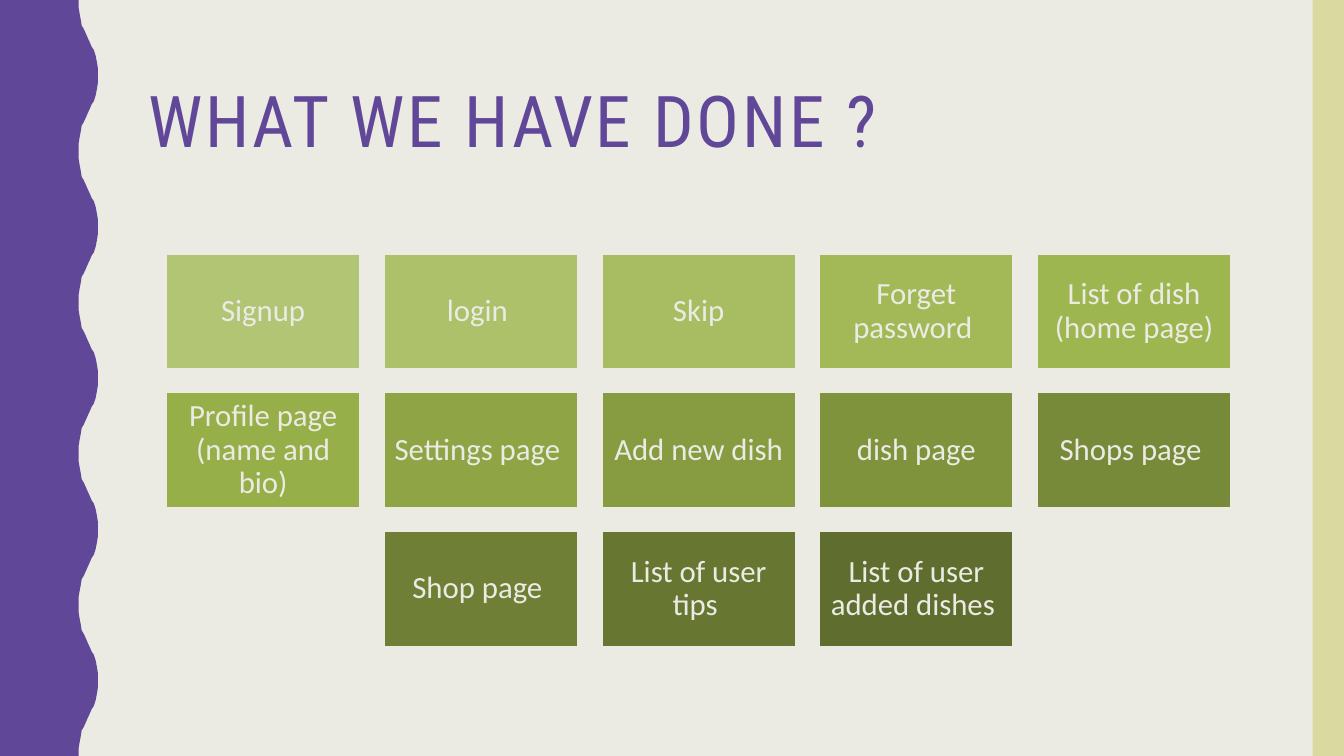
from pptx import Presentation
from pptx.dml.color import RGBColor
from pptx.enum.shapes import MSO_SHAPE as Shape
from pptx.enum.text import MSO_ANCHOR as Anchor, PP_ALIGN as Align
from pptx.util import Inches, Pt

COLOURS = {
    "paper": "EBEBE4",
    "purple": "604798",
    "sand": "DAD9A0",
    "greens": "B2C574 ADC16B A8BD62 A3B958 9EB64F 97AF49 8FA545 "
              "879C41 7F933D 778A3A 6F8036 677732 5F6E2E",
}
FEATURE_ROWS = [
    ["Signup", "login ", "Skip", "Forget password ", "List of dish (home page)"],
    ["Profile page (name and bio)", "Settings page ", "Add new dish",
     " dish page ", "Shops page "],
    ["Shop page ", "List of user tips ", "List of user added dishes "],
]
# Rising half of one wave: (share of the wave's length, share of its depth)
RISE = [(0, 0), (.05, 0), (.09, .05), (.13, .11), (.17, .16), (.19, .26),
        (.22, .37), (.25, .47), (.28, .58), (.31, .68), (.33, .79),
        (.37, .89), (.41, .95), (.45, 1), (.5, 1)]
FALL = [(1 - along, depth) for along, depth in reversed(RISE[:-1])]


class SlideMaker:
    """Draws on one page; positions and sizes are percentages of the slide."""

    columns = 5
    grid_left, grid_top = 12.23, 33.33
    column_step, row_step = 16.2, 18.35
    tile_size = (14.7, 15.73)

    def __init__(self, deck):
        self.deck = deck
        self.page = deck.slides.add_slide(deck.slide_layouts[6])
        self.paint(self.page.background, "paper")

    def across(self, percent):
        return round(self.deck.slide_width * percent / 100)

    def down(self, percent):
        return round(self.deck.slide_height * percent / 100)

    def frame(self, left, top, width, height):
        return (self.across(left), self.down(top),
                self.across(width), self.down(height))

    def paint(self, item, colour):
        item.fill.solid()
        item.fill.fore_color.rgb = RGBColor.from_string(COLOURS.get(colour, colour))

    def set_text(self, box, text, size, font, colour, align, spacing=0):
        frame = box.text_frame
        frame.text = text
        frame.word_wrap = True
        frame.vertical_anchor = Anchor.MIDDLE
        para = frame.paragraphs[0]
        para.alignment = align
        para.line_spacing = 0.9
        span = para.runs[0]
        span.font.size = Pt(size)
        span.font.name = font
        span.font.color.rgb = RGBColor.from_string(COLOURS[colour])
        if spacing:
            span._r.get_or_add_rPr().set("spc", str(spacing * 100))

    def wave(self, base, depth, colour, count):
        points = [(self.across(base + depth * share),
                   self.down((index + along) * 100 / count))
                  for index in range(count) for along, share in RISE + FALL]
        builder = self.page.shapes.build_freeform(0, 0)
        builder.add_line_segments(points + [(0, self.down(100))], close=True)
        edge = builder.convert_to_shape()
        edge.shadow.inherit = False
        self.paint(edge, colour)
        edge.line.fill.background()

    def block(self, left, top, width, height, colour):
        box = self.page.shapes.add_shape(
            Shape.RECTANGLE, *self.frame(left, top, width, height))
        box.shadow.inherit = False
        self.paint(box, colour)
        box.line.fill.background()
        return box

    def title(self, text, left, top, width, height):
        box = self.page.shapes.add_textbox(*self.frame(left, top, width, height))
        self.set_text(box, text, 51, "Roboto Condensed", "purple", Align.LEFT, spacing=2)

    def tile(self, column, row, text, colour):
        box = self.block(self.grid_left + column * self.column_step,
                         self.grid_top + row * self.row_step,
                         *self.tile_size, colour)
        box.line.color.rgb = RGBColor.from_string(COLOURS["paper"])
        box.line.width = Pt(4)
        frame = box.text_frame
        frame.margin_left = frame.margin_right = Inches(0.09)
        frame.margin_top = frame.margin_bottom = Inches(0.09)
        self.set_text(box, text, 22, "Calibri", "paper", Align.CENTER)

    def tiles(self, rows):
        greens = iter(COLOURS["greens"].split())
        for row, labels in enumerate(rows):
            indent = (self.columns - len(labels)) / 2
            for column, label in enumerate(labels):
                self.tile(indent + column, row, label, next(greens))


def main():
    deck = Presentation()
    deck.slide_width, deck.slide_height = Inches(13.33), Inches(7.5)
    maker = SlideMaker(deck)

    # Side bands
    maker.wave(base=5.85, depth=1.43, colour="purple", count=5)
    maker.block(97.67, 0, 2.33, 100, "sand")

    # Heading
    maker.title("WHAT WE HAVE DONE ?", 10.28, 5.6, 83.5, 21.73)

    # Finished features, short rows centred
    maker.tiles(FEATURE_ROWS)

    deck.save("out.pptx")


if __name__ == "__main__":
    main()
